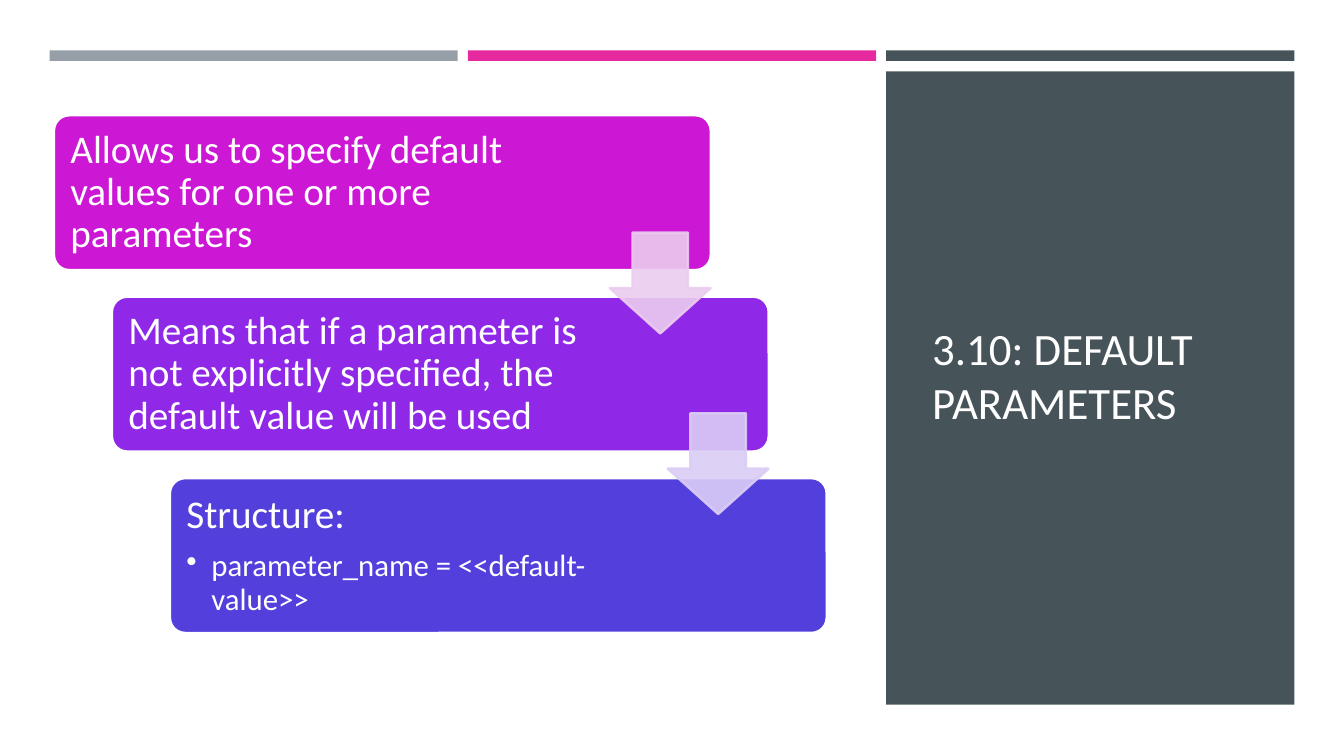
from dataclasses import dataclass

from lxml import etree
from pptx import Presentation, util as u
from pptx.dml import color
from pptx.enum import shapes, text
from pptx.oxml import ns


@dataclass(frozen=True)
class Theme:
    font: str = "Calibri"
    white: str = "FFFFFF"
    title_ink: str = "FFFEFF"
    slate: str = "465359"
    bars: tuple = ("969FA7", "E729A0", "465359")
    cards: tuple = ("CC17D5", "8F29E7", "523FDC")
    arrows: tuple = ("ECCCEF", "DBCDF6")
    title_size: int = 32
    body_size: int = 28
    detail_size: int = 22


class Canvas:
    COLS, ROWS = 160, 90

    def __init__(self, prs, theme):
        self.prs, self.theme = prs, theme
        self.s = prs.slides.add_slide(prs.slide_layouts[6])
        self.s.background.fill.solid()
        self.s.background.fill.fore_color.rgb = self.rgb(theme.white)

    def rgb(self, value):
        return color.RGBColor.from_string(value)

    def box(self, col, row, cols, rows):
        dx = self.prs.slide_width / self.COLS
        dy = self.prs.slide_height / self.ROWS
        return [round(v) for v in (col * dx, row * dy, cols * dx, rows * dy)]

    def shape(self, kind, place, fill, line=None, weight=0, adjust=(), alpha=None):
        sp = self.s.shapes.add_shape(kind, *self.box(*place))
        sp.shadow.inherit = False
        for i, value in enumerate(adjust):
            sp.adjustments[i] = value
        sp.fill.solid()
        sp.fill.fore_color.rgb = self.rgb(fill)
        if line:
            sp.line.color.rgb = self.rgb(line)
            sp.line.width = u.Pt(weight)
        else:
            sp.line.fill.background()
        if alpha:
            for clr in sp._element.spPr.iter(ns.qn("a:srgbClr")):
                etree.SubElement(clr, ns.qn("a:alpha"), val=str(alpha * 1000))
        return sp

    def textbox(self, place, inset=None):
        tf = self.s.shapes.add_textbox(*self.box(*place)).text_frame
        tf.word_wrap = True
        tf.vertical_anchor = text.MSO_ANCHOR.MIDDLE
        if inset:
            tf.margin_left = tf.margin_right = u.Inches(inset)
            tf.margin_top = tf.margin_bottom = u.Inches(inset)
        return tf

    def style(self, p, size, ink):
        for r in p.runs:
            r.font.name = self.theme.font
            r.font.size = u.Pt(size)
            r.font.color.rgb = self.rgb(ink)

    def title(self, place, words):
        tf = self.textbox(place)
        tf.text = words
        self.style(tf.paragraphs[0], self.theme.title_size, self.theme.title_ink)

    def card(self, place, fill, heading, detail=None):
        t = self.theme
        col, row, cols, rows = place
        self.shape(shapes.MSO_SHAPE.ROUNDED_RECTANGLE, place, fill, t.white, 2, [0.1])
        tf = self.textbox((col + 0.54, row + 0.54, 58.2, rows - 1.08), 0.12)
        tf.text = heading
        p = tf.paragraphs[0]
        p.line_spacing, p.space_after = 0.9, u.Pt(0.35 * t.body_size)
        self.style(p, t.body_size, t.white)
        if detail:
            p = tf.add_paragraph()
            p.text = detail
            p.level = 1
            p.line_spacing, p.space_after = 0.9, u.Pt(0.15 * t.detail_size)
            self.style(p, t.detail_size, t.white)
            self.bullet(p, 0.25)

    def bullet(self, p, indent):
        pPr = p._p.get_or_add_pPr()
        pPr.set("marL", str(u.Inches(indent)))
        pPr.set("indent", str(-u.Inches(indent)))
        etree.SubElement(pPr, ns.qn("a:buChar"), char="•")

    def arrow(self, place, fill):
        self.shape(shapes.MSO_SHAPE.DOWN_ARROW, place, fill, fill, 1.75, [0.55, 0.45], 90)


STEPS = [
    ("Allows us to specify default values for one or more parameters",),
    ("Means that if a parameter is not explicitly specified, the default value will be used",),
    ("Structure:", "parameter_name = <<default-value>>"),
]


def main():
    prs = Presentation()
    prs.slide_width, prs.slide_height = u.Inches(13.33), u.Inches(7.5)
    theme = Theme()
    canvas = Canvas(prs, theme)
    rect = shapes.MSO_SHAPE.RECTANGLE

    canvas.shape(rect, (105.5, 8.5, 48.6, 75.4), theme.slate)
    canvas.title((109.8, 13.68, 39.5, 61.8), "3.10: DEFAULT PARAMETERS")
    for i, fill in enumerate(theme.bars):
        canvas.shape(rect, (5.9 + 49.8 * i, 6, 48.6, 1.25), fill)
    for i, (fill, step) in enumerate(zip(theme.cards, STEPS)):
        canvas.card((6.4 + 6.9 * i, 13.7 + 21.6 * i, 78.24, 18.48), fill, *step)
    for i, fill in enumerate(theme.arrows):
        canvas.arrow((72.6 + 6.9 * i, 27.7 + 21.5 * i, 12, 12), fill)

    prs.save("out.pptx")


if __name__ == "__main__":
    main()
